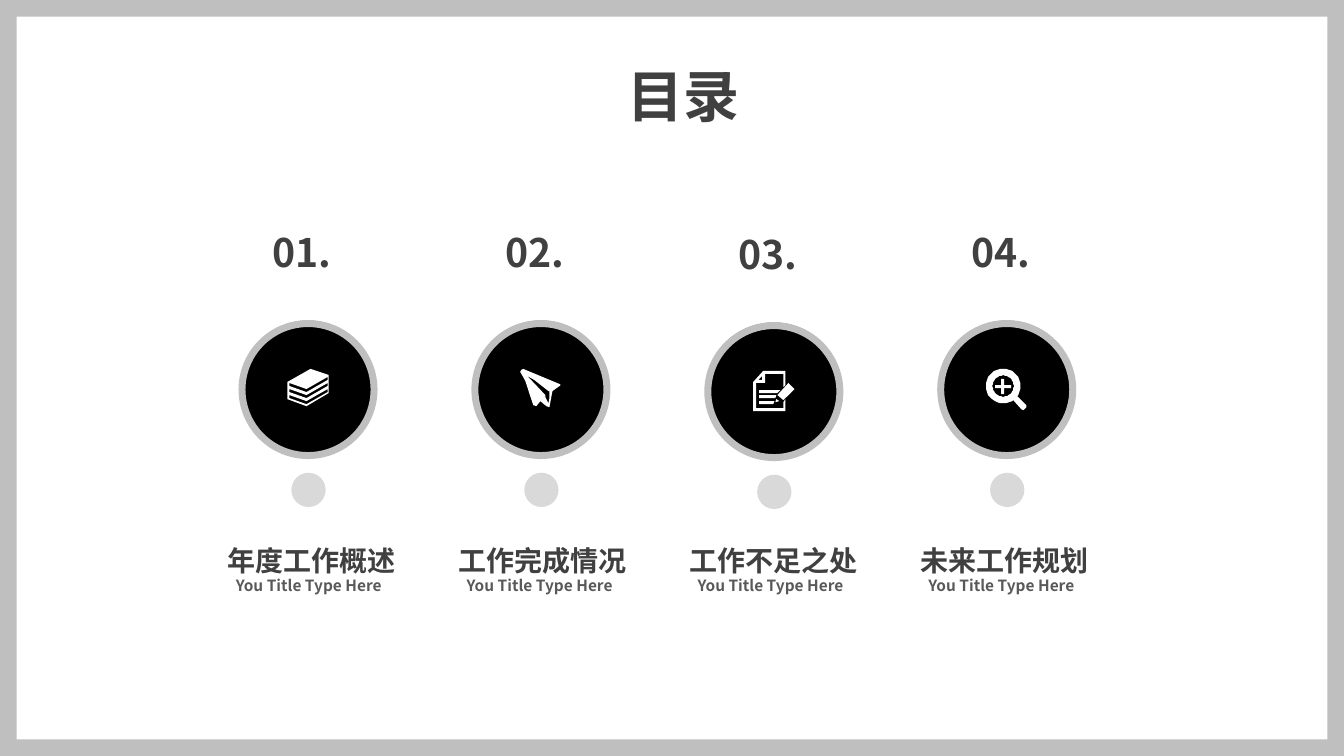
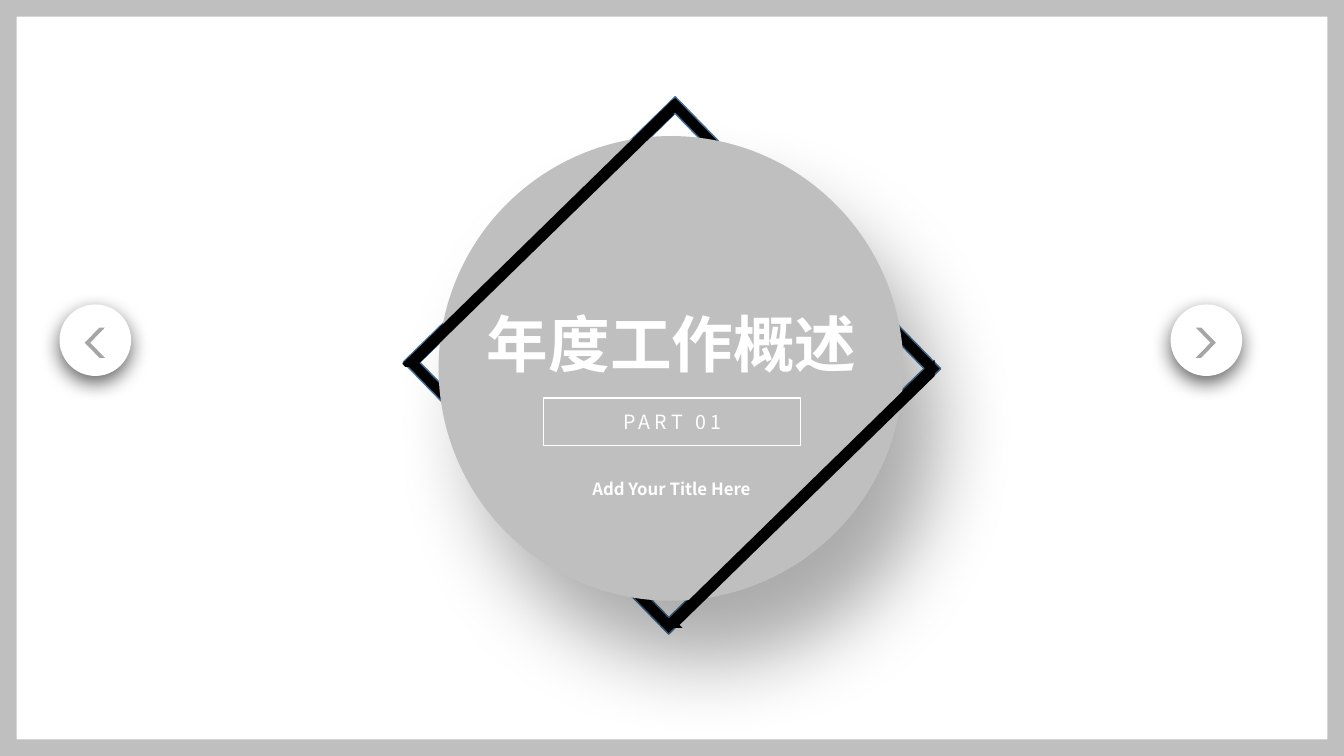
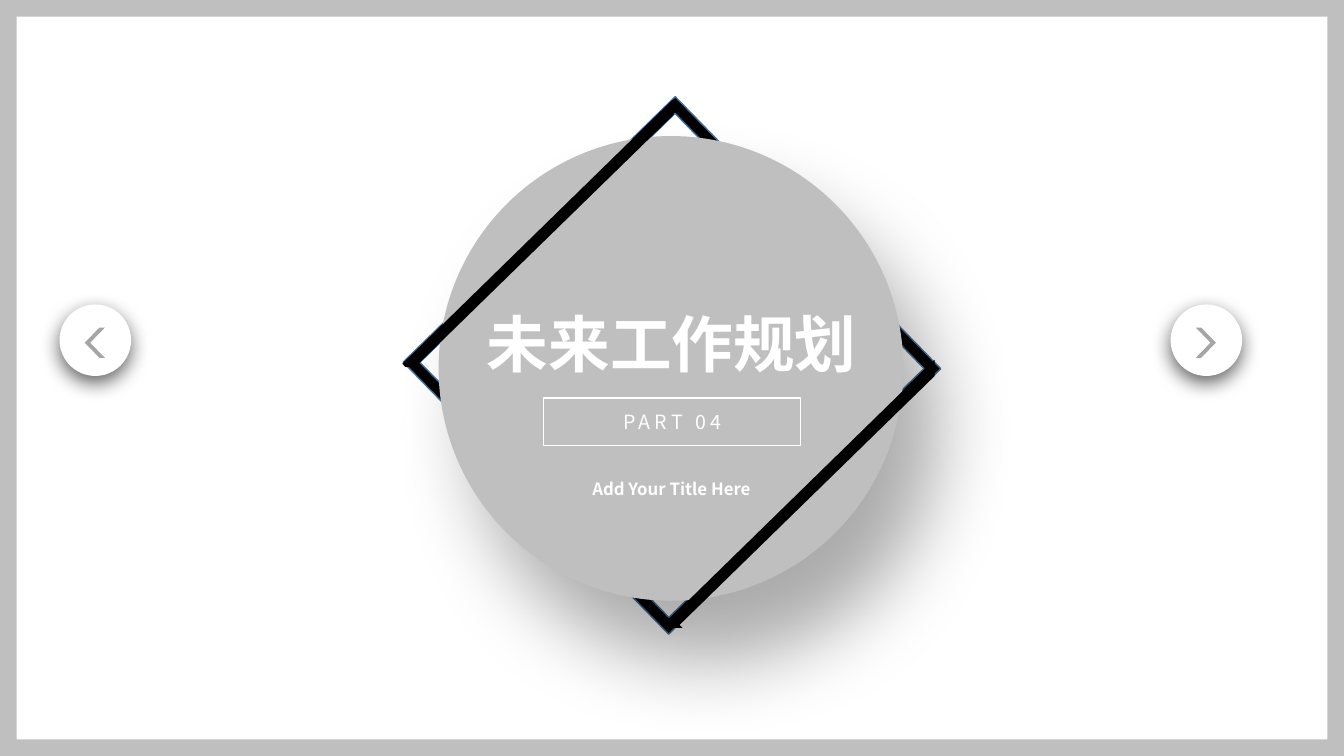
import math

from lxml import etree
from pptx import Presentation
from pptx import util as u
from pptx.dml.color import RGBColor
from pptx.enum import shapes, text
from pptx.oxml import ns

BLACK = RGBColor(0x00, 0x00, 0x00)
WHITE = RGBColor(0xFF, 0xFF, 0xFF)
SILVER = RGBColor(0xBF, 0xBF, 0xBF)
PALE = RGBColor(0xD9, 0xD9, 0xD9)
ARROW_GREY = RGBColor(0xA5, 0xA5, 0xA5)
DARK = RGBColor(0x40, 0x40, 0x40)
MID = RGBColor(0x59, 0x59, 0x59)
EDGE_BLUE = RGBColor(0x43, 0x73, 0x9E)
FONT = "Noto Sans CJK SC"
KIND = shapes.MSO_SHAPE
ALIGN = text.PP_ALIGN
UNIT = u.Inches(0.01)


def paint(shape, fill=None, line=None, width=1, shadow=None):
    """Set fill, outline and shadow (opacity %, blur pt, distance pt, angle)."""
    if fill is None:
        shape.fill.background()
    else:
        shape.fill.solid()
        shape.fill.fore_color.rgb = fill
    if line is None:
        shape.line.fill.background()
    else:
        shape.line.color.rgb = line
        shape.line.width = u.Pt(width)
    shape.shadow.inherit = False
    if shadow:
        opacity, blur, distance, angle = shadow
        effects = shape._element.spPr.find(ns.qn("a:effectLst"))
        outer = etree.SubElement(
            effects, ns.qn("a:outerShdw"), blurRad=str(u.Pt(blur)),
            dist=str(u.Pt(distance)), dir=str(angle * 60000),
            algn="ctr", rotWithShape="0")
        color = etree.SubElement(outer, ns.qn("a:srgbClr"), val="000000")
        etree.SubElement(color, ns.qn("a:alpha"), val=str(opacity * 1000))


def write(shape, words, box, size, color, align=ALIGN.CENTER, bold=True,
          spacing=1.0):
    """Place a text shape at box, put one paragraph in it and return that."""
    shape.left, shape.top, shape.width, shape.height = map(u.Inches, box)
    frame = shape.text_frame
    frame.word_wrap = True
    frame.auto_size = text.MSO_AUTO_SIZE.NONE
    frame.vertical_anchor = text.MSO_ANCHOR.TOP
    frame.text = words
    paragraph = frame.paragraphs[0]
    paragraph.alignment = align
    paragraph.line_spacing = spacing
    font = paragraph.font
    font.name, font.size, font.bold = FONT, u.Pt(size), bold
    font.color.rgb = color
    etree.SubElement(font._rPr, ns.qn("a:ea"), typeface=FONT)
    return paragraph


presentation = Presentation()
presentation.slide_width = u.Inches(13.33)
presentation.slide_height = u.Inches(7.5)
layout = presentation.slide_layouts[5]

# The grey border belongs to the layout that all slides share.
contents = presentation.slides.add_slide(layout)
border = contents.shapes.add_shape(
    KIND.FRAME, 0, 0, presentation.slide_width, presentation.slide_height)
border.adjustments[0] = 0.022
paint(border, SILVER)
layout.shapes._spTree.insert(2, border._element)

# Icon outlines, in hundredths of an inch from the icon's corner.
angles = [math.radians(step * 10) for step in range(36)]
books = [[(0, 13), (23, 0), (41, 6), (41, 24), (19, 37), (0, 30)]] + [
    [(2, 14 + drop), (19, 20 + drop), (40, 8 + drop),
     (40, 11 + drop), (19, 23 + drop), (2, 17 + drop)]
    for drop in (0, 6, 12)]
plane = [
    [(39, 15), (3, 0), (1, 1), (0, 3), (3, 8), (5, 12), (13, 36), (16, 37),
     (20, 32), (26, 37), (29, 38), (32, 22), (39, 17), (40, 16)],
    [(29, 29), (28, 34), (25, 28), (25, 26), (7, 7), (14, 11), (28, 22),
     (29, 22)]]
note = [
    [(30, 31), (32, 28), (32, 40), (0, 40), (0, 11), (10, 0), (32, 0),
     (32, 14), (30, 16), (30, 3), (12, 3), (12, 12), (3, 12), (3, 37),
     (30, 37)],
    [(24, 24), (35, 12), (41, 18), (30, 29)],
    [(23, 28), (22, 31), (26, 30)],
    [(5, 9), (9, 9), (9, 5)],
    [(27, 19), (6, 19), (6, 22), (24, 22)],
    [(23, 24), (6, 24), (6, 27), (22, 27)],
    [(6, 33), (20, 33), (21, 30), (6, 30)]]
magnifier = [
    [(17 + radius * math.cos(angle), 17 + radius * math.sin(angle))
     for angle in angles] for radius in (17, 10.5)] + [
    [(31, 27), (40, 36), (40, 38), (37, 41), (35, 40), (27, 31)],
    [(15, 10), (18, 10), (18, 16), (25, 16), (25, 19), (18, 19),
     (18, 25), (15, 25), (15, 19), (9, 19), (9, 16), (15, 16)]]

# Contents slide
write(contents.shapes.title, "目录", (6.12, 0.56, 1.32, 0.77), 40, DARK,
      ALIGN.LEFT)
chapters = [("年度工作概述", books, 3.18), ("工作完成情况", plane, 3.18),
            ("工作不足之处", note, 3.2), ("未来工作规划", magnifier, 3.18)]
for index, (chapter, icon, top) in enumerate(chapters):
    left = 2.38 + 2.31 * index
    circles = [((left, top, 1.35, 1.35), BLACK, None),
               ((left + 0.51, top + 1.51, 0.34, 0.34), PALE, None),
               ((left + 0.02, top + 0.03, 1.31, 1.31), None, SILVER)]
    for box, fill, line in circles:
        circle = contents.shapes.add_shape(KIND.OVAL, *map(u.Inches, box))
        paint(circle, fill, line, 5)

    outline = contents.shapes.build_freeform(*icon[0][0], scale=UNIT)
    outline.add_line_segments(icon[0][1:])
    for contour in icon[1:]:
        outline.move_to(*contour[0])
        outline.add_line_segments(contour[1:])
    paint(outline.convert_to_shape(u.Inches(left + 0.47),
                                   u.Inches(top + 0.48)), WHITE)

    label_left = 2.16 + 2.29 * index
    write(contents.shapes.add_textbox(0, 0, 0, 0), f"{index + 1:02}.",
          (left + 0.03, top - 0.96, 1.17, 0.57), 28, DARK)
    write(contents.shapes.add_textbox(0, 0, 0, 0), chapter,
          (label_left, 5.34, 1.93, 0.44), 20, DARK, ALIGN.JUSTIFY)
    write(contents.shapes.add_textbox(0, 0, 0, 0), "You Title Type Here",
          (label_left + 0.08, 5.69, 1.8, 0.21), 11, MID, ALIGN.JUSTIFY,
          spacing=0.9)

# Section slides
BAR = [(668, 98), (668, 114), (415, 361), (418, 364), (402, 364), (399, 361)]
for part in (1, 4):
    section = presentation.slides.add_slide(layout)
    diamond = section.shapes.add_shape(
        KIND.FRAME, *map(u.Inches, (4.78, 1.74, 3.77, 3.77)))
    diamond.adjustments[0] = 0.031
    diamond.rotation = 315.7
    paint(diamond, BLACK, EDGE_BLUE)
    disc = section.shapes.add_shape(
        KIND.OVAL, *map(u.Inches, (4.35, 1.35, 4.61, 4.61)))
    paint(disc, SILVER, shadow=(32, 57, 50, 60))
    for shift in (0, 2.59):
        bar = section.shapes.build_freeform(*BAR[0], scale=UNIT)
        bar.add_line_segments(BAR[1:])
        paint(bar.convert_to_shape(u.Inches(shift), u.Inches(shift)), BLACK)

    title = section.shapes.title
    write(title, chapters[part - 1][0], (4.66, 2.98, 4.01, 0.84), 44, WHITE)
    section.shapes._spTree.append(title._element)
    write(section.shapes.add_textbox(0, 0, 0, 0), "Add Your Title Here",
          (5.71, 4.72, 1.9, 0.33), 12, WHITE, spacing=0.9)
    part_label = section.shapes.add_textbox(0, 0, 0, 0)
    paragraph = write(part_label, f"PART {part:02}", (5.88, 3.9, 1.58, 0.57),
                      14, WHITE, bold=False)
    paragraph.font._rPr.set("spc", "300")
    frame = part_label.text_frame
    frame.vertical_anchor = text.MSO_ANCHOR.MIDDLE
    frame.margin_left = frame.margin_right = u.Inches(0.07)
    frame.margin_top = frame.margin_bottom = u.Inches(0.04)
    part_box = section.shapes.add_shape(
        KIND.RECTANGLE, *map(u.Inches, (5.39, 3.95, 2.55, 0.47)))
    paint(part_box, line=WHITE)

    for button_left, turn in ((11.61, 0), (0.59, 180)):
        button = section.shapes.add_shape(
            KIND.OVAL, *map(u.Inches, (button_left, 3.02, 0.71, 0.71)))
        paint(button, WHITE, shadow=(61, 14, 5, 90))
        chevron = section.shapes.add_shape(
            KIND.CHEVRON, *map(u.Inches, (button_left + 0.25, 3.25, 0.2, 0.3)))
        chevron.adjustments[0] = 0.731
        chevron.rotation = turn
        paint(chevron, ARROW_GREY)

presentation.save("out.pptx")
